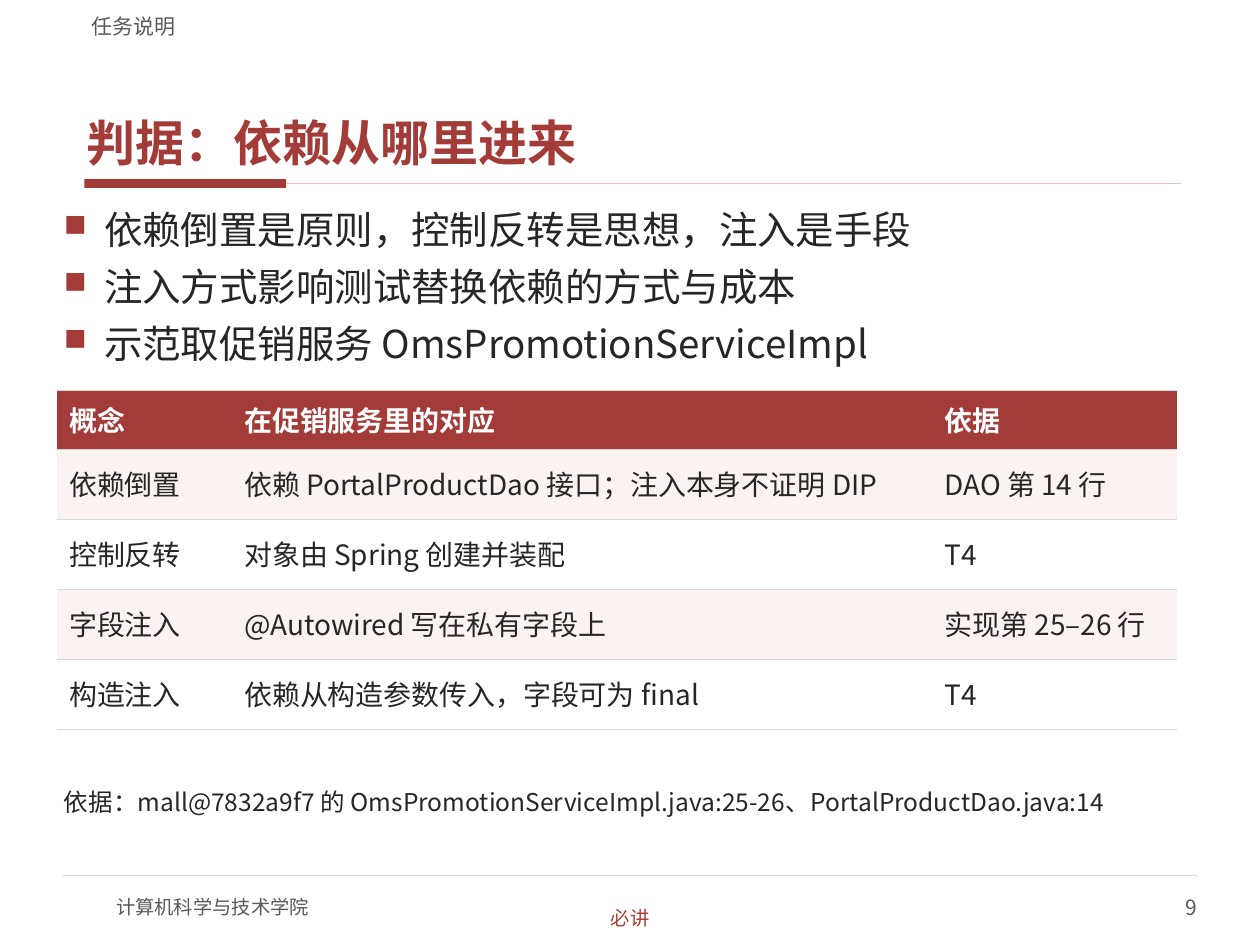
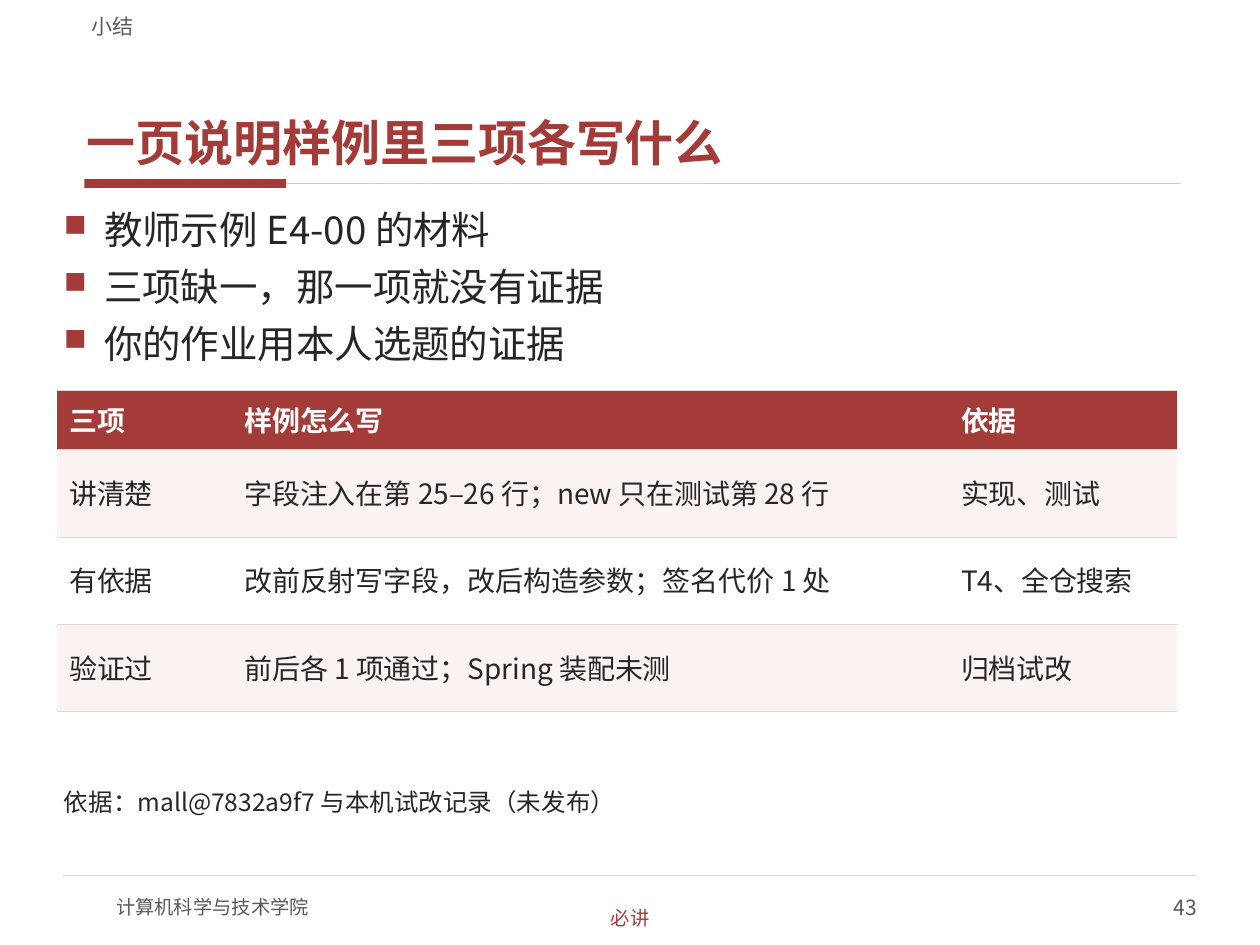
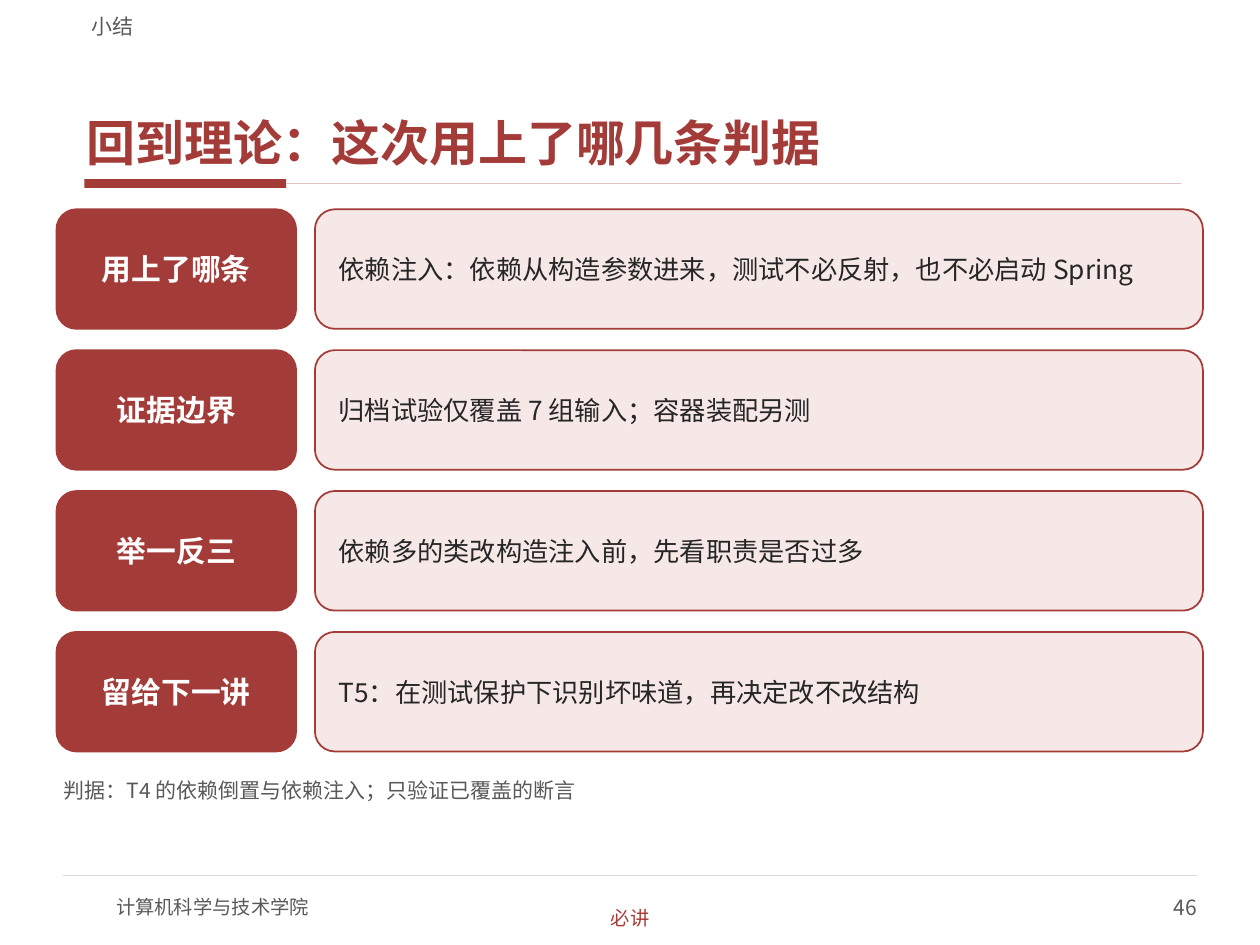
from lxml.etree import SubElement
from pptx import Presentation
from pptx.dml.color import RGBColor
from pptx.enum.shapes import MSO_CONNECTOR, MSO_SHAPE
from pptx.enum.text import MSO_ANCHOR as ANCHOR, PP_ALIGN as ALIGN
from pptx.oxml.ns import qn
from pptx.util import Cm, Pt

FONT = "Noto Sans CJK SC"
COLORS = {
    "red": "A33B38", "badge": "A93B37", "rule": "E3C4C2", "grid": "D9D9D9",
    "pale": "F6E8E6", "band": "FBF3F2", "white": "FFFFFF",
    "ink": "262626", "gray": "595959",
}
LEFT, WIDTH = 1.14, 23.11
COLLEGE = "计算机科学与技术学院"


def rgb(name):
    return RGBColor.from_string(COLORS[name])


class Deck:
    """Holds the shared style and the slide being built; lengths are in cm."""

    def __init__(self):
        self.prs = Presentation()
        self.prs.slide_width, self.prs.slide_height = Cm(25.4), Cm(19.05)
        self.slide = None

    # Text formatting
    def style(self, p, size, color, bold=False):
        for r in p.runs:
            font = r.font
            font.size, font.bold, font.name = Pt(size), bold, FONT
            font.color.rgb = rgb(color)
            SubElement(r._r.get_or_add_rPr(), qn("a:ea"), typeface=FONT)

    def bullet(self, p):
        pPr = p._p.get_or_add_pPr()
        pPr.set("marL", str(Cm(0.81)))
        pPr.set("indent", str(-Cm(0.81)))
        clr = SubElement(pPr, qn("a:buClr"))
        SubElement(clr, qn("a:srgbClr"), val=COLORS["red"])
        SubElement(pPr, qn("a:buSzPct"), val="80000")
        SubElement(pPr, qn("a:buChar"), char="■")

    def fill_frame(self, tf, lines, size, color, bold=False, align=ALIGN.LEFT,
                   anchor=ANCHOR.TOP, inset=(0, 0), before=0, after=0,
                   bullets=False, wrap=True):
        tf.word_wrap, tf.vertical_anchor = wrap, anchor
        tf.margin_left = tf.margin_right = Cm(inset[0])
        tf.margin_top = tf.margin_bottom = Cm(inset[1])
        for i, line in enumerate(lines):
            p = tf.add_paragraph() if i else tf.paragraphs[0]
            p.text, p.alignment = line, align
            p.space_before, p.space_after = Pt(before if i else 0), Pt(after)
            if bullets:
                self.bullet(p)
            self.style(p, size, color, bold)

    # Elements
    def text(self, box, lines, size, color, **options):
        sp = self.slide.shapes.add_textbox(*map(Cm, box))
        self.fill_frame(sp.text_frame, lines, size, color, **options)

    def shape(self, kind, box, fill, line=None):
        sp = self.slide.shapes.add_shape(kind, *map(Cm, box))
        sp.shadow.inherit = False
        sp.fill.solid()
        sp.fill.fore_color.rgb = rgb(fill)
        if line:
            sp.line.color.rgb, sp.line.width = rgb(line), Pt(1)
        else:
            sp.line.fill.background()
        return sp

    def card(self, box, fill, text, size, color, **options):
        sp = self.shape(MSO_SHAPE.ROUNDED_RECTANGLE, box, fill, "red")
        self.fill_frame(sp.text_frame, [text], size, color,
                        anchor=ANCHOR.MIDDLE, **options)

    def rule(self, x1, x2, y, color, width):
        line = self.slide.shapes.add_connector(
            MSO_CONNECTOR.STRAIGHT, Cm(x1), Cm(y), Cm(x2), Cm(y))
        line.line.color.rgb, line.line.width = rgb(color), Pt(width)
        SubElement(line._element.spPr, qn("a:effectLst"))

    def borders(self, cell):
        tcPr = cell._tc.get_or_add_tcPr()
        for side in ("lnL", "lnR"):
            SubElement(SubElement(tcPr, qn("a:" + side), w="0"), qn("a:noFill"))
        for side in ("lnT", "lnB"):
            ln = SubElement(tcPr, qn("a:" + side), w=str(Pt(0.75)))
            solid = SubElement(ln, qn("a:solidFill"))
            SubElement(solid, qn("a:srgbClr"), val=COLORS["grid"])

    def table(self, rows, widths, row_height, top=7.88, head_height=1.19):
        height = head_height + row_height * (len(rows) - 1)
        table = self.slide.shapes.add_table(
            len(rows), len(widths), Cm(LEFT), Cm(top),
            Cm(sum(widths)), Cm(height)).table
        table.horz_banding = False
        for column, width in zip(table.columns, widths):
            column.width = Cm(width)
        for i, row in enumerate(rows):
            table.rows[i].height = Cm(row_height if i else head_height)
            back = ("white", "band")[i % 2] if i else "red"
            for j, text in enumerate(row):
                cell = table.cell(i, j)
                self.borders(cell)
                cell.fill.solid()
                cell.fill.fore_color.rgb = rgb(back)
                cell.vertical_anchor = ANCHOR.MIDDLE
                p = cell.text_frame.paragraphs[0]
                p.text = text
                p.line_spacing, p.space_after = 0.9, Pt(2)
                self.style(p, 16, "ink" if i else "white", bold=i == 0)

    # Parts every slide shares
    def new_slide(self, section, title, number):
        self.slide = self.prs.slides.add_slide(self.prs.slide_layouts[6])
        self.shape(MSO_SHAPE.RECTANGLE, (1.7, 3.61, 4.07, 0.18), "red")
        self.rule(5.77, 23.8, 3.7, "rule", 1)
        self.rule(1.27, 24.13, 17.65, "grid", 0.75)
        self.text((2.34, 17.78, 10.16, 1.02), [COLLEGE], 11, "gray",
                  anchor=ANCHOR.MIDDLE)
        self.text((19.05, 17.78, 5.08, 1.02), [str(number)], 12, "gray",
                  align=ALIGN.RIGHT, anchor=ANCHOR.MIDDLE)
        self.text((1.6, 0.84, 22.22, 2.67), [title], 28, "red", bold=True,
                  anchor=ANCHOR.BOTTOM, inset=(0.15, 0.05), after=2)
        self.text((1.6, 0.1, 22.22, 0.69), [section], 12, "gray",
                  anchor=ANCHOR.BOTTOM, inset=(0.25, 0))
        self.text((11.18, 18.24, 3.05, 0.53), ["必讲"], 11, "badge",
                  align=ALIGN.CENTER, anchor=ANCHOR.MIDDLE, wrap=False)

    def points(self, lines):
        self.text((LEFT, 4.11, WIDTH, 3.48), lines, 22, "ink",
                  inset=(0.15, 0.05), before=4, after=2, bullets=True)

    def source(self, text):
        self.text((LEFT, 15.82, WIDTH, 1.27), [text], 14, "ink",
                  inset=(0.15, 0.05), after=2)


def main():
    deck = Deck()

    # Where dependencies come from
    deck.new_slide("任务说明", "判据：依赖从哪里进来", 9)
    deck.points(["依赖倒置是原则，控制反转是思想，注入是手段",
                 "注入方式影响测试替换依赖的方式与成本",
                 "示范取促销服务 OmsPromotionServiceImpl"])
    deck.table([
        ("概念", "在促销服务里的对应", "依据"),
        ("依赖倒置", "依赖 PortalProductDao 接口；注入本身不证明 DIP", "DAO 第 14 行"),
        ("控制反转", "对象由 Spring 创建并装配", "T4"),
        ("字段注入", "@Autowired 写在私有字段上", "实现第 25–26 行"),
        ("构造注入", "依赖从构造参数传入，字段可为 final", "T4"),
    ], (3.53, 14.12, 4.93), 1.41)
    deck.source("依据：mall@7832a9f7 的 OmsPromotionServiceImpl.java:25-26、"
                "PortalProductDao.java:14")

    # The three items of the one-page note
    deck.new_slide("小结", "一页说明样例里三项各写什么", 43)
    deck.points(["教师示例 E4-00 的材料",
                 "三项缺一，那一项就没有证据",
                 "你的作业用本人选题的证据"])
    deck.table([
        ("三项", "样例怎么写", "依据"),
        ("讲清楚", "字段注入在第 25–26 行；new 只在测试第 28 行", "实现、测试"),
        ("有依据", "改前反射写字段，改后构造参数；签名代价 1 处", "T4、全仓搜索"),
        ("验证过", "前后各 1 项通过；Spring 装配未测", "归档试改"),
    ], (3.53, 14.45, 4.6), 1.76)
    deck.source("依据：mall@7832a9f7 与本机试改记录（未发布）")

    # Back to theory: label and statement cards
    deck.new_slide("小结", "回到理论：这次用上了哪几条判据", 46)
    cards = [
        ("用上了哪条", "依赖注入：依赖从构造参数进来，测试不必反射，也不必启动 Spring"),
        ("证据边界", "归档试验仅覆盖 7 组输入；容器装配另测"),
        ("举一反三", "依赖多的类改构造注入前，先看职责是否过多"),
        ("留给下一讲", "T5：在测试保护下识别坏味道，再决定改不改结构"),
    ]
    for i, (label, statement) in enumerate(cards):
        top = 4.22 + 2.84 * i
        deck.card((LEFT, top, 4.83, 2.41), "red", label, 17, "white",
                  bold=True, align=ALIGN.CENTER, inset=(0.2, 0.1))
        deck.card((6.35, top, 17.9, 2.41), "pale", statement, 15, "ink",
                  inset=(0.36, 0.18))
    deck.text((LEFT, 15.6, WIDTH, 0.81),
              ["判据：T4 的依赖倒置与依赖注入；只验证已覆盖的断言"],
              12, "gray", inset=(0.15, 0.08))

    deck.prs.save("out.pptx")


if __name__ == "__main__":
    main()
